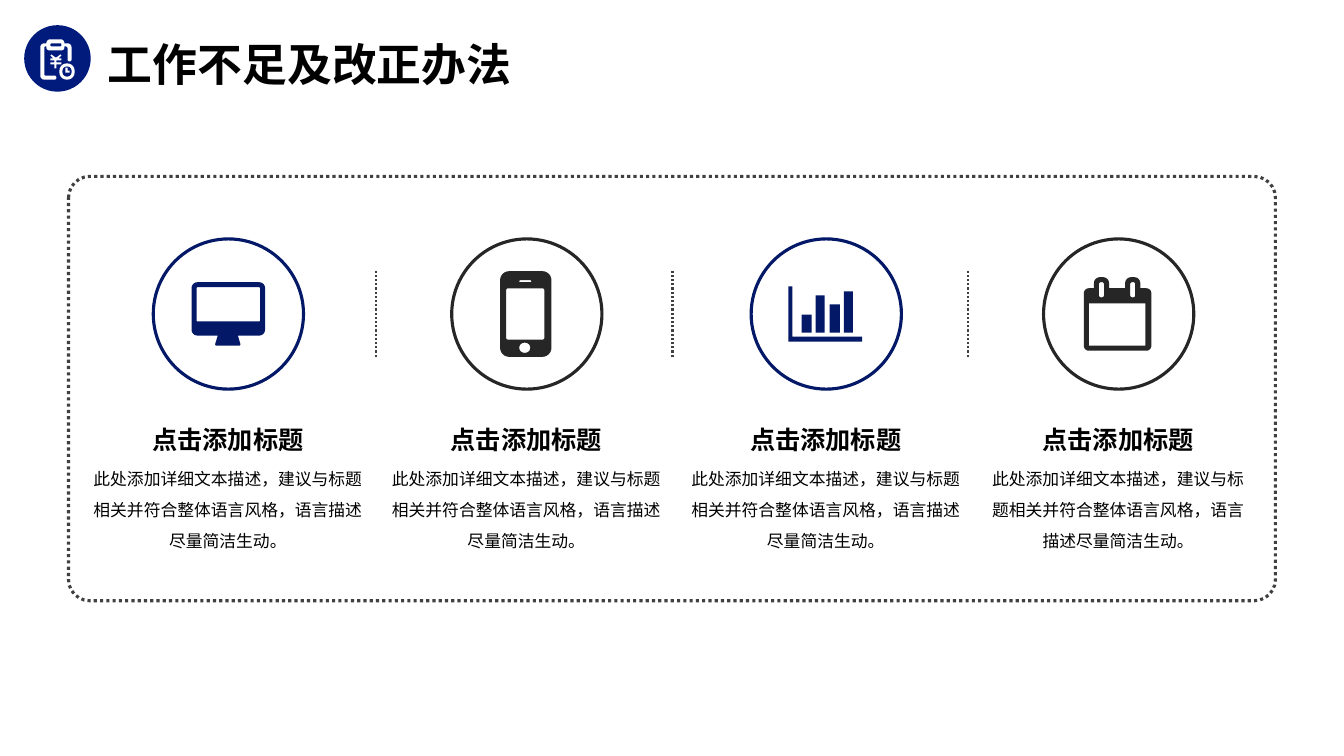
from lxml.etree import SubElement
from pptx import Presentation
from pptx.dml.color import RGBColor
from pptx.enum.dml import MSO_LINE
from pptx.enum.shapes import MSO_CONNECTOR, MSO_SHAPE
from pptx.enum.text import MSO_ANCHOR, MSO_AUTO_SIZE, PP_ALIGN
from pptx.oxml.ns import qn
from pptx.util import Pt

PX = 9144  # 100 px to the inch
FONT = "Noto Sans CJK SC"
BLACK = RGBColor(0x00, 0x00, 0x00)
WHITE = RGBColor(0xFF, 0xFF, 0xFF)
BADGE_BLUE = RGBColor(0x01, 0x1B, 0x7D)
NAVY = RGBColor(0x03, 0x18, 0x67)
CHARCOAL = RGBColor(0x26, 0x26, 0x26)
GRAY = RGBColor(0x40, 0x40, 0x40)

HEADING = "点击添加标题"
DETAIL = "此处添加详细文本描述，建议与标题相关并符合整体语言风格，语言描述尽量简洁生动。"


def rounded(left, top, right, bottom, radius=0):
    """Corners of a rectangle, each as x, y, radius."""
    return [(left, top, radius), (right, top, radius),
            (right, bottom, radius), (left, bottom, radius)]


def sharp(*points):
    return [(x, y, 0) for x, y in points]


# Icons: outlines and holes, as corners with a radius
CLIPBOARD = [
    [(67, 46, 2), (64, 46, 0), (64, 50, 3), (46, 50, 3), (46, 46, 0),
     (44, 46, 1), (44, 75, 1), (56, 75, 2), (56, 79, 2), (40, 79, 4),
     (40, 43, 4), (46, 43, 0), (46, 39, 4), (64, 39, 4), (64, 43, 0),
     (71, 43, 4), (71, 61, 2), (67, 61, 2)],
    rounded(50, 43, 61, 46, 1),
    rounded(59, 63, 74, 79, 7),
    rounded(62, 66, 71, 76, 4),
    sharp((65, 67), (67, 67), (67, 70), (69, 70), (69, 72), (65, 72)),
    # Yen sign
    sharp((50, 55), (51, 54), (55, 57), (56, 57), (60, 54), (61, 55),
          (58, 58), (61, 58), (61, 60), (56, 60), (56, 62), (61, 62),
          (61, 64), (56, 64), (56, 68), (54, 68), (54, 64), (50, 64),
          (50, 62), (54, 62), (54, 60), (50, 60), (50, 58), (53, 58)),
]
MONITOR = [
    [(190, 280, 6), (263, 280, 6), (263, 333, 6), (236, 333, 0),
     (239, 343, 2), (213, 343, 2), (216, 333, 0), (190, 333, 6)],
    rounded(195, 285, 258, 319, 1),
]
PHONE = [
    rounded(496, 269, 547, 354, 9),
    rounded(502, 286, 540, 337, 2),
    rounded(515, 278, 527, 280, 1),
    rounded(515, 340, 526, 350, 5),
]
BARS = [
    sharp((782, 284), (786, 284), (786, 334), (855, 334), (855, 339), (782, 339)),
    rounded(795, 312, 805, 330),
    rounded(809, 293, 818, 330),
    rounded(823, 302, 833, 330),
    rounded(837, 289, 846, 330),
]
CALENDAR = [
    [(1075, 286, 5), (1085, 286, 0), (1085, 275, 6), (1100, 275, 6),
     (1100, 286, 0), (1116, 286, 0), (1116, 275, 6), (1131, 275, 6),
     (1131, 286, 0), (1142, 286, 5), (1142, 348, 5), (1075, 348, 5)],
    rounded(1080, 301, 1136, 343),
    rounded(1090, 280, 1095, 295, 2),
    rounded(1121, 280, 1126, 295, 2),
]

# Centre, text width, icon, colour
COLUMNS = [
    (226, 288, MONITOR, NAVY),
    (522, 294, PHONE, CHARCOAL),
    (819, 292, BARS, NAVY),
    (1109, 280, CALENDAR, CHARCOAL),
]
DIVIDERS = [373, 667, 960]


def smooth_corners(corners, steps=6):
    """Turn corners with radii into a list of points in EMU."""
    points = []
    for index, (x, y, radius) in enumerate(corners):
        if not radius:
            points.append((x * PX, y * PX))
            continue
        ends = []
        for other in (corners[index - 1], corners[(index + 1) % len(corners)]):
            dx, dy = other[0] - x, other[1] - y
            share = radius / (dx * dx + dy * dy) ** 0.5
            ends.append((dx * share, dy * share))
        (ax, ay), (bx, by) = ends
        for step in range(steps + 1):
            t = step / steps
            start = (1 - t) ** 3 + 1.35 * t * (1 - t) ** 2
            end = t ** 3 + 1.35 * t ** 2 * (1 - t)
            points.append((round((x + ax * start + bx * end) * PX),
                           round((y + ay * start + by * end) * PX)))
    return points


def add_icon(page, contours, color):
    outlines = [smooth_corners(contour) for contour in contours]
    builder = page.shapes.build_freeform(*outlines[0][0], scale=1.0)
    for index, points in enumerate(outlines):
        if index:
            builder.move_to(*points[0])
        builder.add_line_segments(points[1:], close=True)
    icon = builder.convert_to_shape()
    icon.shadow.inherit = False
    icon.fill.solid()
    icon.fill.fore_color.rgb = color
    icon.line.fill.background()


def add_outline(page, kind, left, top, width, height, color, fill=None):
    shape = page.shapes.add_shape(kind, left * PX, top * PX, width * PX, height * PX)
    shape.shadow.inherit = False
    if fill is None:
        shape.fill.background()
        shape.line.color.rgb = color
        shape.line.width = Pt(2.25)
    else:
        shape.fill.solid()
        shape.fill.fore_color.rgb = fill
        shape.line.fill.background()
    return shape


def add_divider(page, x):
    divider = page.shapes.add_connector(
        MSO_CONNECTOR.STRAIGHT, x * PX, 354 * PX, x * PX, 268 * PX)
    divider.line.color.rgb = GRAY
    divider.line.width = Pt(1.5)
    divider.line.dash_style = MSO_LINE.ROUND_DOT
    SubElement(divider._element.spPr, qn("a:effectLst"))


def place(holder, left, top, width, height):
    holder.left, holder.top = left * PX, top * PX
    holder.width, holder.height = width * PX, height * PX
    frame = holder.text_frame
    frame.word_wrap = True
    frame.auto_size = MSO_AUTO_SIZE.NONE
    frame.vertical_anchor = MSO_ANCHOR.TOP
    return frame


def write(para, text, *, size, leading, bold=False, align=PP_ALIGN.LEFT, before=0):
    properties = para._p.get_or_add_pPr()
    properties.set("marL", "0")
    properties.set("indent", "0")
    SubElement(properties, qn("a:buNone"))
    para.alignment = align
    para.line_spacing = Pt(leading)
    para.space_before = Pt(before)
    span = para.add_run()
    span.text = text
    span.font.size = Pt(size)
    span.font.bold = bold
    span.font.name = FONT
    span.font.color.rgb = BLACK
    SubElement(span._r.rPr, qn("a:ea")).set("typeface", FONT)


def add_column(page, holder, center, width, icon, color):
    frame = place(holder, center - width // 2, 400, width, 184)
    write(frame.paragraphs[0], HEADING, size=18, leading=33, bold=True,
          align=PP_ALIGN.CENTER)
    write(frame.add_paragraph(), DETAIL, size=12, leading=22,
          align=PP_ALIGN.CENTER, before=2.8)
    add_outline(page, MSO_SHAPE.OVAL, center - 74, 237, 149, 149, color)
    add_icon(page, icon, color)


def main():
    deck = Presentation()
    deck.slide_width, deck.slide_height = 1333 * PX, 750 * PX
    page = deck.slides.add_slide(deck.slide_layouts.get_by_name("Comparison"))

    # Header
    add_outline(page, MSO_SHAPE.OVAL, 24, 25, 66, 66, None, fill=BADGE_BLUE)
    add_icon(page, CLIPBOARD, WHITE)
    frame = place(page.shapes.title, 97, 28, 512, 64)
    write(frame.paragraphs[0], "工作不足及改正办法", size=32, leading=41, bold=True)

    # Dotted panel
    panel = add_outline(page, MSO_SHAPE.ROUNDED_RECTANGLE, 68, 175, 1197, 421, GRAY)
    panel.adjustments[0] = 0.05
    panel.line.dash_style = MSO_LINE.ROUND_DOT

    # Columns and the lines between them
    holders = [page.placeholders[index] for index in range(1, 5)]
    for holder, column in zip(holders, COLUMNS):
        add_column(page, holder, *column)
    for x in DIVIDERS:
        add_divider(page, x)

    # Unused placeholders
    for holder in list(page.placeholders):
        if not holder.text_frame.text:
            holder._element.getparent().remove(holder._element)
    deck.save("out.pptx")


if __name__ == "__main__":
    main()
